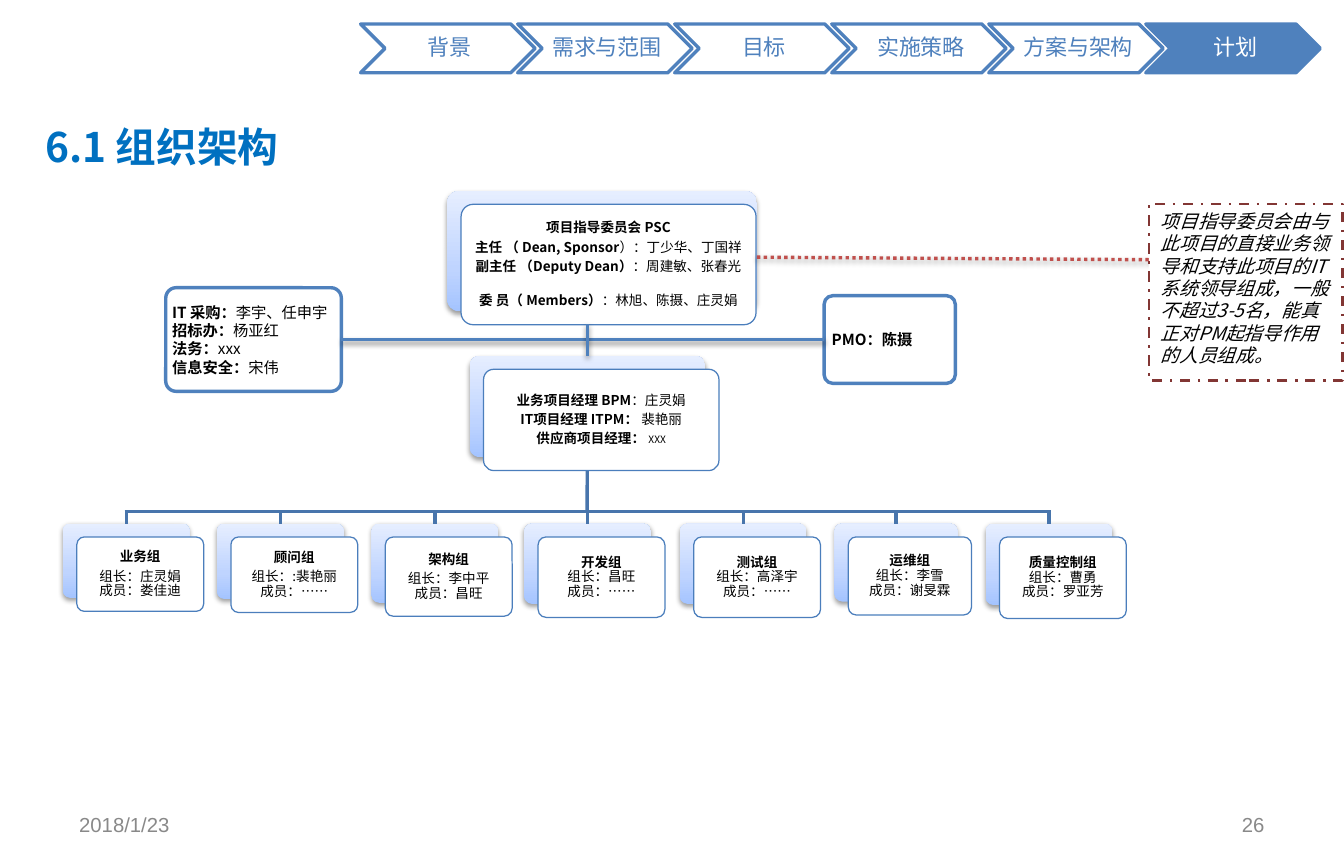
from dataclasses import dataclass

from pptx import Presentation
from pptx.dml.color import RGBColor
from pptx.enum.dml import MSO_LINE
from pptx.enum.shapes import MSO_CONNECTOR, MSO_SHAPE
from pptx.enum.text import MSO_ANCHOR, PP_ALIGN
from pptx.oxml import parse_xml
from pptx.oxml.ns import qn
from pptx.util import Pt

STRAIGHT = MSO_CONNECTOR.STRAIGHT
ROUNDED, CHEVRON, RECTANGLE = MSO_SHAPE.ROUNDED_RECTANGLE, MSO_SHAPE.CHEVRON, MSO_SHAPE.RECTANGLE
TOP, MIDDLE = MSO_ANCHOR.TOP, MSO_ANCHOR.MIDDLE
LEFT, CENTER, RIGHT = PP_ALIGN.LEFT, PP_ALIGN.CENTER, PP_ALIGN.RIGHT
DOTTED, DASH_DOT = MSO_LINE.ROUND_DOT, MSO_LINE.DASH_DOT
SIDE_TOP, SIDE_LEFT, SIDE_BOTTOM, SIDE_RIGHT = range(4)
DRAWING = 'xmlns:a="http://schemas.openxmlformats.org/drawingml/2006/main"'


@dataclass(frozen=True)
class Theme:
    """Colours, fonts and type sizes of the slide."""
    accent: str = "4F81BD"
    tree: str = "4875AC"
    card_edge: str = "4B7EBC"
    red: str = "C0504D"
    dark_red: str = "823634"
    title: str = "0070C0"
    gray: str = "898989"
    white: str = "FFFFFF"
    black: str = "000000"
    gradient: tuple = ((0, "A4C4FF"), (35, "BFD4FF"), (100, "E6EEFF"))
    body_font: str = "Noto Sans CJK SC"
    step_font: str = "Calibri"
    footer_font: str = "Arial"
    title_size: float = 24
    step_size: float = 13
    footer_size: float = 12
    note_size: float = 11
    side_size: float = 9
    card_size: float = 8
    tiny_size: float = 6


THEME = Theme()
STEPS = ("背景", "需求与范围", "目标", "实施策略", "方案与架构", "计划")
COMMITTEE = (
    (("项目指导委员会 PSC", True),),
    (("主任 （ Dean, Sponsor", True), ("）：丁少华、丁国祥", False)),
    (("副主任 （Deputy Dean）", True), ("：周建敏、张春光", False)),
    (("委 员（ Members）", True), ("：林旭、陈摄、庄灵娟", False)),
)
MANAGERS = (
    (("业务项目经理 BPM", True), ("：庄灵娟", False)),
    (("IT项目经理 ITPM： ", True), ("裴艳丽", False)),
    (("供应商项目经理： ", True), ("XXX", False, THEME.tiny_size)),
)
STAFF = (
    (("IT 采购：", True), ("李宇、任申宇", False)),
    (("招标办：", True), ("杨亚红", False)),
    (("法务：", True), ("xxx", False)),
    (("信息安全：", True), ("宋伟", False)),
)
NOTE = ("项目指导委员会由与此项目的直接业务领导和支持此项目的IT系统领导组成，"
        "一般不超过3-5名，能真正对PM起指导作用的人员组成。")
TEAMS = (
    (37.2, 74.9, 43.9, "业务组", "组长：庄灵娟\n成员：娄佳迪", True),
    (128.2, 74.9, 44.6, "顾问组", "组长：:裴艳丽\n成员：……", True),
    (219.4, 74.9, 46.8, "架构组", "组长：李中平\n成员：昌旺", True),
    (309.6, 74.9, 47.5, "开发组", "组长：昌旺\n成员：……", False),
    (401.5, 74.9, 47.5, "测试组", "组长：高泽宇\n成员：……", False),
    (492.8, 72.7, 46.1, "运维组", "组长：李雪\n成员：谢旻霖", False),
    (582.1, 74.9, 48.2, "质量控制组", "组长：曹勇\n成员：罗亚芳", False),
)


def rgb(color):
    """Turn a hex string into a colour."""
    return RGBColor.from_string(color)


def style_font(font, name, size, color):
    """Set typeface, size and colour of a font."""
    font.name, font.size = name, Pt(size)
    font.color.rgb = rgb(color)


def write(shape, paragraphs, size, color=THEME.black, name=THEME.body_font,
          align=LEFT, anchor=MIDDLE, spacing=None, after=0, margin=2):
    """Write paragraphs made of (text, bold, size) spans into a shape."""
    frame = shape.text_frame
    frame.word_wrap, frame.vertical_anchor = True, anchor
    if margin is not None:
        frame.margin_left = frame.margin_right = Pt(margin)
        frame.margin_top = frame.margin_bottom = Pt(margin)
    for index, spans in enumerate(paragraphs):
        para = frame.add_paragraph() if index else frame.paragraphs[0]
        para.alignment, para.space_after, para.line_spacing = align, Pt(after), spacing
        style_font(para.font, name, size, color)
        for text, bold, *own_size in spans:
            for number, line in enumerate(text.split("\n")):
                if number:
                    para.add_line_break()
                if not line:
                    continue
                span = para.add_run()
                span.text, span.font.bold = line, bold
                style_font(span.font, name, *(own_size or [size]), color)
                if name == THEME.body_font:
                    face = f'<a:ea {DRAWING} typeface="{name}"/>'
                    span.font._element.append(parse_xml(face))
    return frame


def add_label(page, left, top, width, height, text, size, color, name, bold=None, **layout):
    """Add a text box with one line of text."""
    box = page.shapes.add_textbox(Pt(left), Pt(top), Pt(width), Pt(height))
    return write(box, (((text, bold),),), size, color, name, margin=None, **layout)


def add_box(page, kind, left, top, width, height, fill, line=None, weight=2):
    """Add a flat preset shape with an optional outline."""
    box = page.shapes.add_shape(kind, Pt(left), Pt(top), Pt(width), Pt(height))
    box.shadow.inherit = False
    box.fill.solid()
    box.fill.fore_color.rgb = rgb(fill)
    if kind == ROUNDED:
        box.adjustments[0] = 0.1
    if line:
        box.line.color.rgb, box.line.width = rgb(line), Pt(weight)
    else:
        box.line.fill.background()
    return box


def add_shadow(effects):
    """Fill an effect list with a soft shadow below."""
    effects.append(parse_xml(
        f'<a:outerShdw {DRAWING} blurRad="{Pt(3.1)}" dist="{Pt(1.6)}" dir="5400000" rotWithShape="0">'
        f'<a:srgbClr val="{THEME.black}"><a:alpha val="38000"/></a:srgbClr></a:outerShdw>'))


def add_card(page, left, top, width, height, paragraphs, back_extra=0):
    """Add a white card over a shaded one; return the shaded one and the text."""
    back = add_box(page, ROUNDED, left, top, width + back_extra, height, THEME.white)
    properties = back._element.spPr
    stops = "".join(f'<a:gs pos="{place * 1000}"><a:srgbClr val="{color}"/></a:gs>'
                    for place, color in THEME.gradient)
    gradient = parse_xml(f'<a:gradFill {DRAWING} rotWithShape="1"><a:gsLst>{stops}</a:gsLst>'
                         '<a:lin ang="16200000" scaled="0"/></a:gradFill>')
    properties.replace(properties.find(qn("a:solidFill")), gradient)
    add_shadow(properties.find(qn("a:effectLst")))
    front = add_box(page, ROUNDED, left + 8.2, top + 7.9, width, height,
                    THEME.white, THEME.card_edge, 0.75)
    frame = write(front, paragraphs, THEME.card_size, align=CENTER, spacing=Pt(8.6), after=2.8)
    return back, frame


def add_line(page, start, end, color, dash=None, shadow=False):
    """Add a straight connector between two points."""
    line = page.shapes.add_connector(STRAIGHT, *(Pt(value) for value in (*start, *end)))
    line.line.color.rgb, line.line.width = rgb(color), Pt(2)
    if dash:
        line.line.dash_style = dash
    effects = parse_xml(f'<a:effectLst {DRAWING}/>')
    line._element.spPr.append(effects)
    if shadow:
        add_shadow(effects)
    return line


def add_steps(page):
    """Add the row of chapter chevrons with the last one active."""
    for index, step in enumerate(STEPS):
        active = index == len(STEPS) - 1
        fill, color = (THEME.accent, THEME.white) if active else (THEME.white, THEME.accent)
        chevron = add_box(page, CHEVRON, 213 + 92.74 * index, 14.2, 103, 28.8, fill, THEME.accent)
        frame = write(chevron, (((step, None),),), THEME.step_size, color, THEME.step_font,
                      CENTER, spacing=0.9, margin=1)
        frame.margin_left = Pt(3.4)


def add_teams(page, manager):
    """Add the team cards and the tree that hangs them from the manager."""
    top, bus = 309.2, 302.2
    centers = [left + width / 2 for left, width, *_ in TEAMS]
    trunk = add_line(page, (346.7, 270), (346.7, bus), THEME.tree)
    trunk.begin_connect(manager, SIDE_BOTTOM)
    trunk._element.getparent().insert(2, trunk._element)
    add_line(page, (centers[0] - 1, bus), (centers[-1] + 1, bus), THEME.tree)
    for center, (left, width, height, name, people, spaced) in zip(centers, TEAMS):
        heading, members = (name, True), (people, False)
        paragraphs = ((heading,), (members,)) if spaced else (((name + "\n", True), members),)
        card, _ = add_card(page, left, top, width, height, paragraphs)
        drop = add_line(page, (center, bus), (center, top), THEME.tree)
        drop.end_connect(card, SIDE_TOP)


def main():
    """Build the organisation slide."""
    deck = Presentation()
    deck.slide_width, deck.slide_height = Pt(793.7), Pt(510.24)
    page = deck.slides.add_slide(deck.slide_layouts[6])
    add_label(page, 19.8, 74.2, 714.2, 25.2, "6.1 组织架构", THEME.title_size, THEME.title,
              THEME.body_font, True, anchor=TOP, spacing=0.8)
    for left, text, align in ((39.7, "2018/1/23", LEFT), (568.8, "26", RIGHT)):
        add_label(page, left, 473, 185, 27.4, text, THEME.footer_size, THEME.gray,
                  THEME.footer_font, align=align)
    _, committee = add_card(page, 264.1, 112.8, 174.2, 71.1, COMMITTEE, back_extra=8.6)
    committee.paragraphs[-1].space_before = Pt(8.6)
    manager, _ = add_card(page, 277.4, 210.2, 139, 59.8, MANAGERS)
    add_teams(page, manager)
    add_line(page, (447, 151.9), (680.4, 153.4), THEME.red, DOTTED, True)
    note = add_box(page, RECTANGLE, 678.5, 120.4, 114.5, 104.4, THEME.white, THEME.dark_red, 1.5)
    note.line.dash_style = DASH_DOT
    frame = write(note, (((NOTE, None),),), THEME.note_size, anchor=TOP, spacing=Pt(13.2), margin=None)
    frame.paragraphs[0].runs[0].font.italic = True
    office = add_box(page, ROUNDED, 486.7, 174.6, 77.5, 51.8, THEME.white, THEME.accent)
    write(office, ((("PMO：陈摄", True),),), THEME.side_size, margin=3)
    staff = add_box(page, ROUNDED, 97.9, 169.9, 103.7, 61.2, THEME.white, THEME.accent)
    write(staff, STAFF, THEME.side_size, spacing=Pt(10.8))
    link = add_line(page, (201.6, 200.5), (486.7, 200.5), THEME.accent, shadow=True)
    link.begin_connect(staff, SIDE_RIGHT)
    link.end_connect(office, SIDE_LEFT)
    stem = add_line(page, (346.9, 191.5), (346.9, 210.2), THEME.accent, shadow=True)
    stem.end_connect(manager, SIDE_TOP)
    add_steps(page)
    deck.save("out.pptx")


if __name__ == "__main__":
    main()
